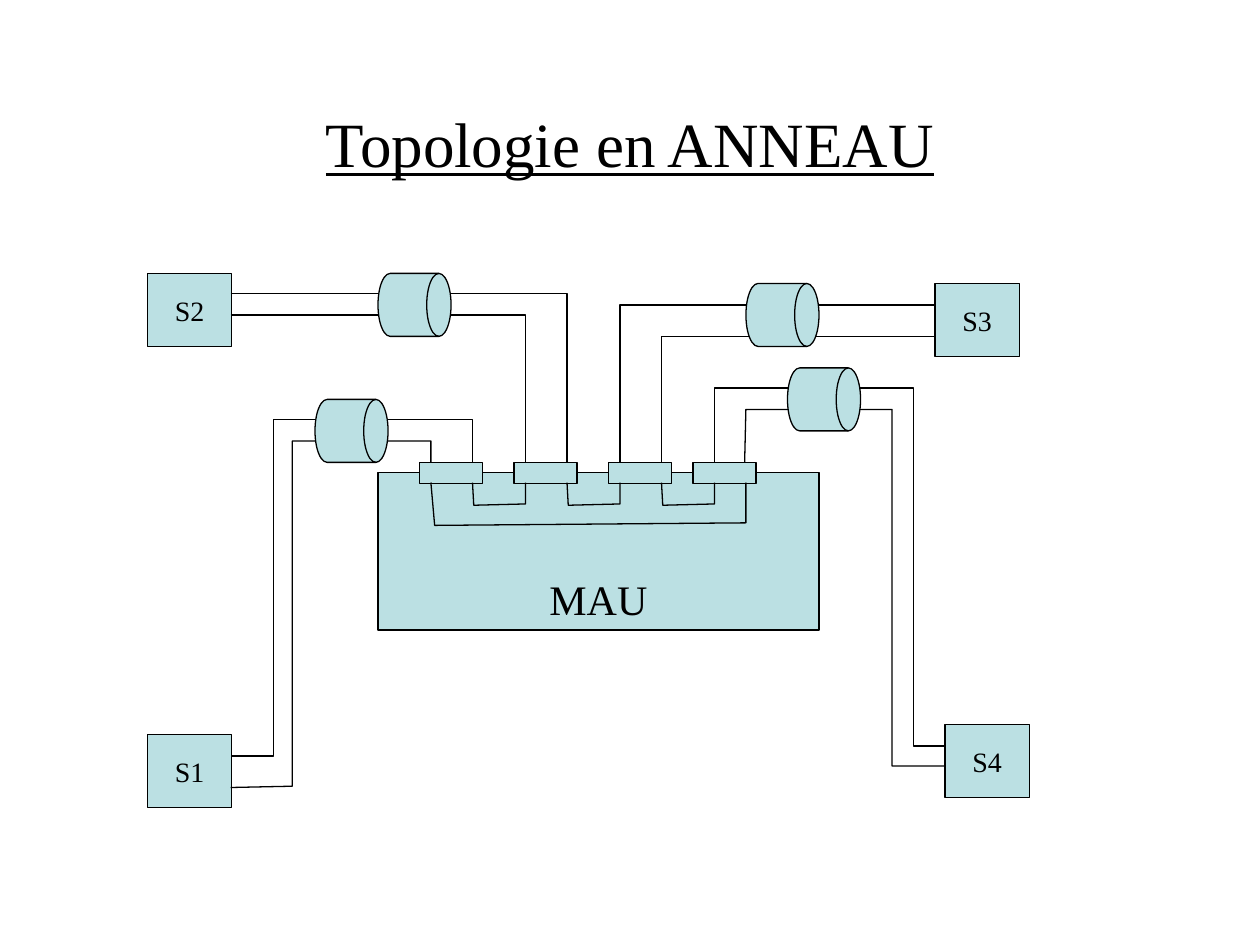
"""Builds the slide on ring topology: four stations wired through a MAU."""
from dataclasses import dataclass

from pptx import Presentation, util as u
from pptx.dml.color import RGBColor
from pptx.enum import shapes as s, text as t

HUES = {"ink": "000000", "fill": "BBE0E3"}
FONT = "Times New Roman"
INCH = 2.54


@dataclass
class Box:
    x: float
    y: float
    w: float
    h: float
    kind: s.MSO_SHAPE = s.MSO_SHAPE.RECTANGLE
    label: str = ""
    size: int = 16
    anchor: t.MSO_ANCHOR = t.MSO_ANCHOR.MIDDLE


@dataclass
class Wire:
    points: list[tuple[float, float]]


def cm(inches: float) -> u.Length:
    return u.Cm(inches * INCH)


def hue(name: str) -> RGBColor:
    return RGBColor.from_string(HUES[name])


def place(shape, x: float, y: float, w: float, h: float) -> None:
    shape.left, shape.top, shape.width, shape.height = map(cm, (x, y, w, h))


def write(shape, label: str, size: int, anchor: t.MSO_ANCHOR, line: bool = False) -> None:
    frame = shape.text_frame
    frame.text = label
    frame.vertical_anchor = anchor
    para = frame.paragraphs[0]
    para.alignment = t.PP_ALIGN.CENTER
    font = para.runs[0].font
    font.name, font.size, font.underline = FONT, u.Pt(size), line
    font.color.rgb = hue("ink")


def trim(shape) -> None:
    shape.shadow.inherit = False
    shape.line.color.rgb = hue("ink")
    shape.line.width = u.Pt(0.75)


def draw_box(slide, box: Box) -> None:
    shape = slide.shapes.add_shape(box.kind, *map(cm, (box.x, box.y, box.w, box.h)))
    trim(shape)
    shape.fill.solid()
    shape.fill.fore_color.rgb = hue("fill")
    if box.label:
        write(shape, box.label, box.size, box.anchor)
        shape.text_frame.word_wrap = False


def draw_wire(slide, wire: Wire) -> None:
    first, *rest = [(cm(x), cm(y)) for x, y in wire.points]
    path = slide.shapes.build_freeform(*first)
    path.add_line_segments(rest, close=False)
    shape = path.convert_to_shape()
    trim(shape)
    shape.fill.background()


def main() -> None:
    deck = Presentation()
    deck.slide_width, deck.slide_height = cm(10), cm(7.5)
    slide = deck.slides.add_slide(deck.slide_layouts[5])
    title = slide.shapes.title
    place(title, 0.75, 0.67, 8.5, 0.92)
    write(title, "Topologie en ANNEAU", 36, t.MSO_ANCHOR.MIDDLE, True)

    hosts = [("S2", 1.17, 2.17), ("S3", 7.42, 2.25), ("S1", 1.17, 5.83), ("S4", 7.5, 5.75)]
    boxes = [Box(x, y, 0.67, 0.58, label=name) for name, x, y in hosts]
    boxes.append(Box(3, 3.75, 3.5, 1.25, label="MAU", size=24, anchor=t.MSO_ANCHOR.BOTTOM))
    boxes += [Box(x, 3.67, 0.5, 0.17) for x in (3.33, 4.08, 4.83, 5.5)]

    top, low = 3.67, 3.83
    links = [
        Wire([(x, low), (x + 0.01, 4.01), (x + 0.42, 4), (x + 0.42, low)])
        for x in (3.75, 4.5, 5.25)
    ]
    loop = Wire([(3.42, low), (3.45, 4.17), (5.92, 4.15), (5.92, low)])
    cables = [
        Wire([(1.83, 2.33), (4.5, 2.33), (4.5, top)]),
        Wire([(1.83, 2.5), (4.17, 2.5), (4.17, top)]),
        Wire([(3.42, top), (3.42, 3.5), (2.32, 3.5), (2.32, 6.24), (1.83, 6.25)]),
        Wire([(3.75, top), (3.75, 3.33), (2.17, 3.33), (2.17, 6), (1.83, 6)]),
        Wire([(7.42, 2.42), (4.92, 2.42), (4.92, top)]),
        Wire([(7.42, 2.67), (5.25, 2.67), (5.25, top)]),
        Wire([(5.67, top), (5.67, 3.08), (7.25, 3.08), (7.25, 5.92), (7.5, 5.92)]),
        Wire([(5.91, top), (5.92, 3.25), (7.08, 3.25), (7.08, 6.08), (7.5, 6.08)]),
    ]
    drums = [
        Box(x, y, 0.58, 0.5, s.MSO_SHAPE.FLOWCHART_DIRECT_ACCESS_STORAGE)
        for x, y in [(3, 2.17), (5.92, 2.25), (2.5, 3.17), (6.25, 2.92)]
    ]

    for box in boxes:
        draw_box(slide, box)
    for wire in [*links, loop, *cables]:
        draw_wire(slide, wire)
    for drum in drums:
        draw_box(slide, drum)
    deck.save("out.pptx")


if __name__ == "__main__":
    main()
